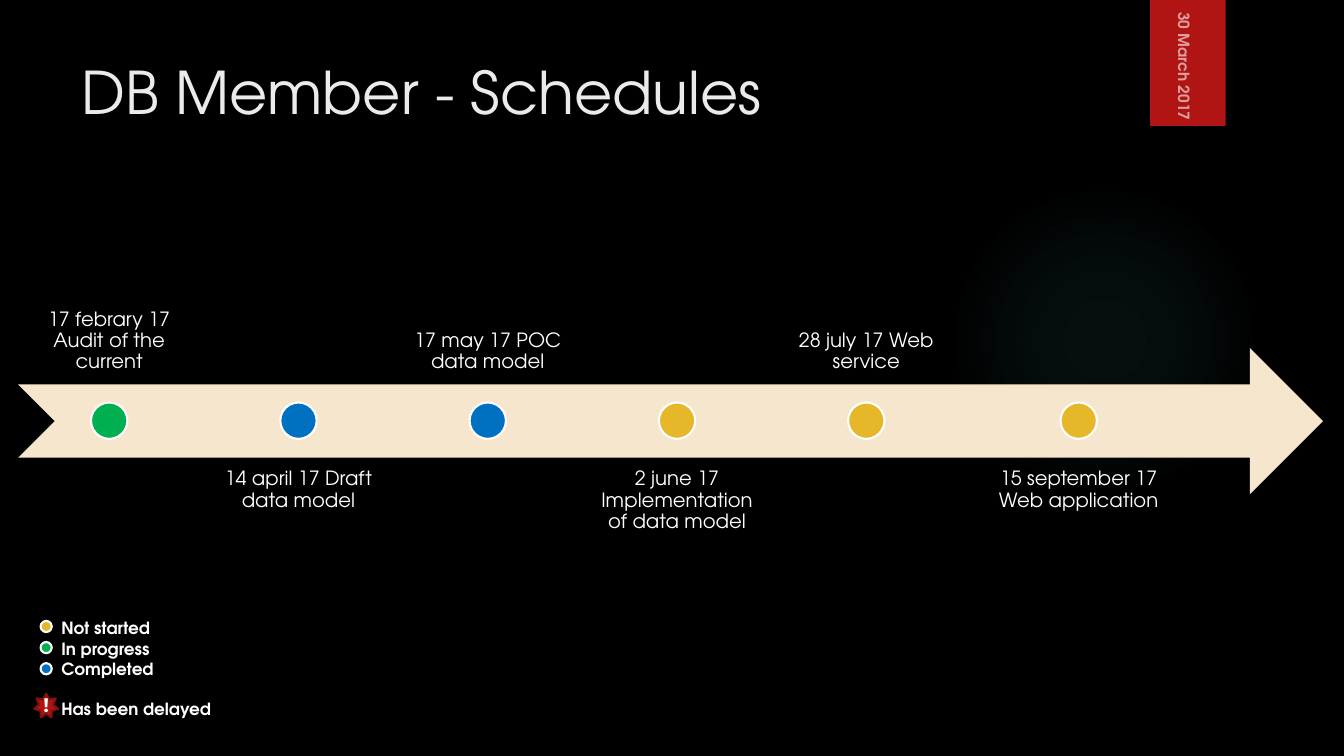
import pptx
import pptx.dml.color
import pptx.enum.shapes
import pptx.enum.text
import pptx.oxml
import pptx.oxml.ns
import pptx.util
from lxml import etree

Pt = pptx.util.Pt
SHAPE = pptx.enum.shapes.MSO_SHAPE
ALIGN = pptx.enum.text.PP_ALIGN
ANCHOR = pptx.enum.text.MSO_ANCHOR
qn = pptx.oxml.ns.qn

FONT = "TeX Gyre Adventor"
WHITE, RED = "FFFFFF", "B01513"
NOT_STARTED, IN_PROGRESS, COMPLETED = "E6B729", "00B050", "0070C0"

EVENTS = [
    ("17 febrary 17 Audit of the current", IN_PROGRESS, 129),
    ("14 april 17 Draft data model", COMPLETED, 129),
    ("17 may 17 POC data model", COMPLETED, 129),
    ("2 june 17 Implementation of data model", NOT_STARTED, 129),
    ("28 july 17 Web service", NOT_STARTED, 129),
    ("15 september 17 Web application", NOT_STARTED, 162),
]
LEGEND = [
    ("Not started", NOT_STARTED),
    ("In progress", IN_PROGRESS),
    ("Completed", COMPLETED),
]


def rgb(value):
    return pptx.dml.color.RGBColor.from_string(value)


def add_shape(s, kind, x, y, w, h, fill, line=None):
    sp = s.shapes.add_shape(kind, Pt(x), Pt(y), Pt(w), Pt(h))
    sp.shadow.inherit = False
    sp.fill.solid()
    sp.fill.fore_color.rgb = rgb(fill)
    if line:
        sp.line.color.rgb = rgb(line)
        sp.line.width = Pt(1.5)
    else:
        sp.line.fill.background()
    return sp


def add_dot(s, x, y, size, fill):
    add_shape(s, SHAPE.OVAL, x, y, size, size, fill, WHITE)


def add_text_box(s, x, y, w, h, anchor=ANCHOR.TOP):
    sp = s.shapes.add_textbox(Pt(x), Pt(y), Pt(w), Pt(h))
    sp.text_frame.word_wrap = True
    sp.text_frame.vertical_anchor = anchor
    return sp


def set_margins(tf, size):
    tf.margin_left = tf.margin_right = Pt(size)
    tf.margin_top = tf.margin_bottom = Pt(size)


def add_run(p, text, size, color=WHITE, bold=False, font=FONT):
    r = p.add_run()
    r.text = text
    r.font.name = font
    r.font.size = Pt(size)
    r.font.bold = bold
    r.font.color.rgb = rgb(color)
    return r


def add_alpha(color, percent):
    etree.SubElement(color, qn("a:alpha")).set("val", str(percent * 1000))


def add_glow(s):
    sp = add_shape(s, SHAPE.OVAL, 677.5, 132, 222, 222, "50B9C1")
    grad = pptx.oxml.parse_xml(
        f'<a:gradFill {pptx.oxml.ns.nsdecls("a")}><a:gsLst/><a:path path="circle">'
        '<a:fillToRect l="50000" t="50000" r="50000" b="50000"/></a:path></a:gradFill>')
    for pos, alpha in [(0, 7), (36, 6), (69, 0)]:
        stop = etree.SubElement(grad[0], qn("a:gs"), pos=str(pos * 1000))
        add_alpha(etree.SubElement(stop, qn("a:srgbClr"), val="50B9C1"), alpha)
    solid = sp.element.spPr.find(qn("a:solidFill"))
    sp.element.spPr.replace(solid, grad)


def add_title(s, text):
    sp = s.shapes.title
    sp.left, sp.top, sp.width, sp.height = Pt(51), Pt(36), Pt(741), Pt(88)
    tf = sp.text_frame
    tf.vertical_anchor = ANCHOR.TOP
    p = tf.paragraphs[0]
    p.alignment = ALIGN.LEFT
    add_run(p, text, 42, "EBEBEB")


def add_date_ribbon(s, text):
    add_shape(s, SHAPE.RECTANGLE, 821.5, 0, 54, 90, RED)
    sp = add_text_box(s, 796.5, 39, 99, 24, ANCHOR.MIDDLE)
    sp.rotation = 90
    r = add_run(sp.text_frame.paragraphs[0], text, 11, bold=True)
    add_alpha(r.font.element.find(".//" + qn("a:srgbClr"))
              if hasattr(r.font, "element")
              else sp.element.find(".//" + qn("a:srgbClr")), 60)


def add_timeline(s):
    add_shape(s, SHAPE.NOTCHED_RIGHT_ARROW, 13, 248.5, 932, 104.5, "F5E6CD")
    for i, (text, color, width) in enumerate(EVENTS):
        x = 13.5 + 135.2 * i
        y, anchor = (327, ANCHOR.TOP) if i % 2 else (170, ANCHOR.BOTTOM)
        tf = add_text_box(s, x, y, width, 104.5, anchor).text_frame
        set_margins(tf, 7.9)
        p = tf.paragraphs[0]
        p.alignment = ALIGN.CENTER
        p.line_spacing = 0.9
        add_run(p, text, 14)
        add_dot(s, x + width / 2 - 13, 287.5, 26, color)


def add_legend(s):
    tf = add_text_box(s, 36.7, 438, 127, 80).text_frame
    for i, (text, color) in enumerate(LEGEND):
        add_dot(s, 29, 443.5 + 15.1 * i, 8, color)
        p = tf.paragraphs[0] if i == 0 else tf.add_paragraph()
        add_run(p, text, 12, bold=True)
    p = tf.add_paragraph()
    p.space_before = Pt(14.5)
    add_run(p, "Has been delayed", 12, bold=True)

    star = add_shape(s, SHAPE.STAR_7_POINT, 24.5, 495.5, 17, 17, RED, "82100E")
    star.adjustments[0] = 0.296
    tf = star.text_frame
    tf.word_wrap = False
    tf.vertical_anchor = ANCHOR.MIDDLE
    set_margins(tf, 0)
    p = tf.paragraphs[0]
    p.alignment = ALIGN.CENTER
    add_run(p, "!", 14, bold=True, font="Montserrat")


def main():
    prs = pptx.Presentation()
    prs.slide_width, prs.slide_height = Pt(960), Pt(540)
    s = prs.slides.add_slide(prs.slide_layouts[5])
    s.background.fill.solid()
    s.background.fill.fore_color.rgb = rgb("000000")
    add_glow(s)
    add_title(s, "DB Member - Schedules")
    add_date_ribbon(s, "30 March 2017")
    add_timeline(s)
    add_legend(s)
    prs.save("out.pptx")


if __name__ == "__main__":
    main()
